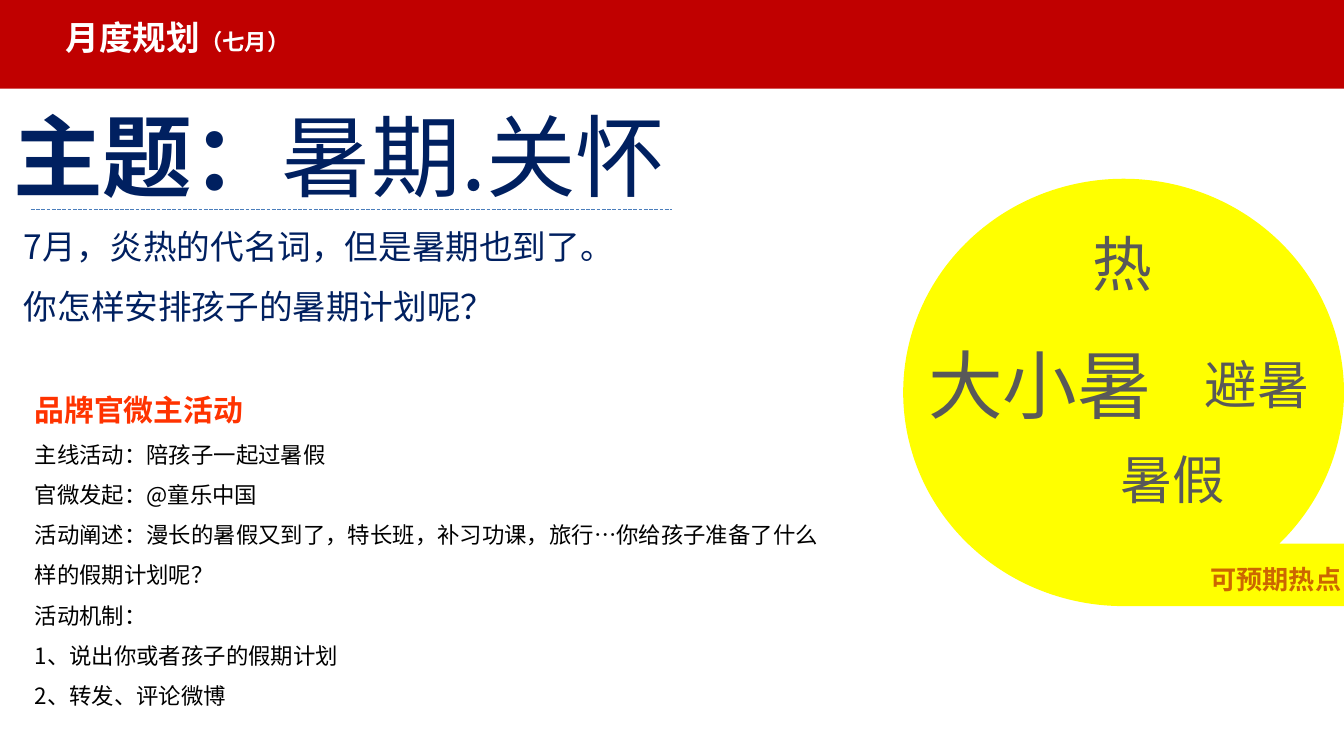
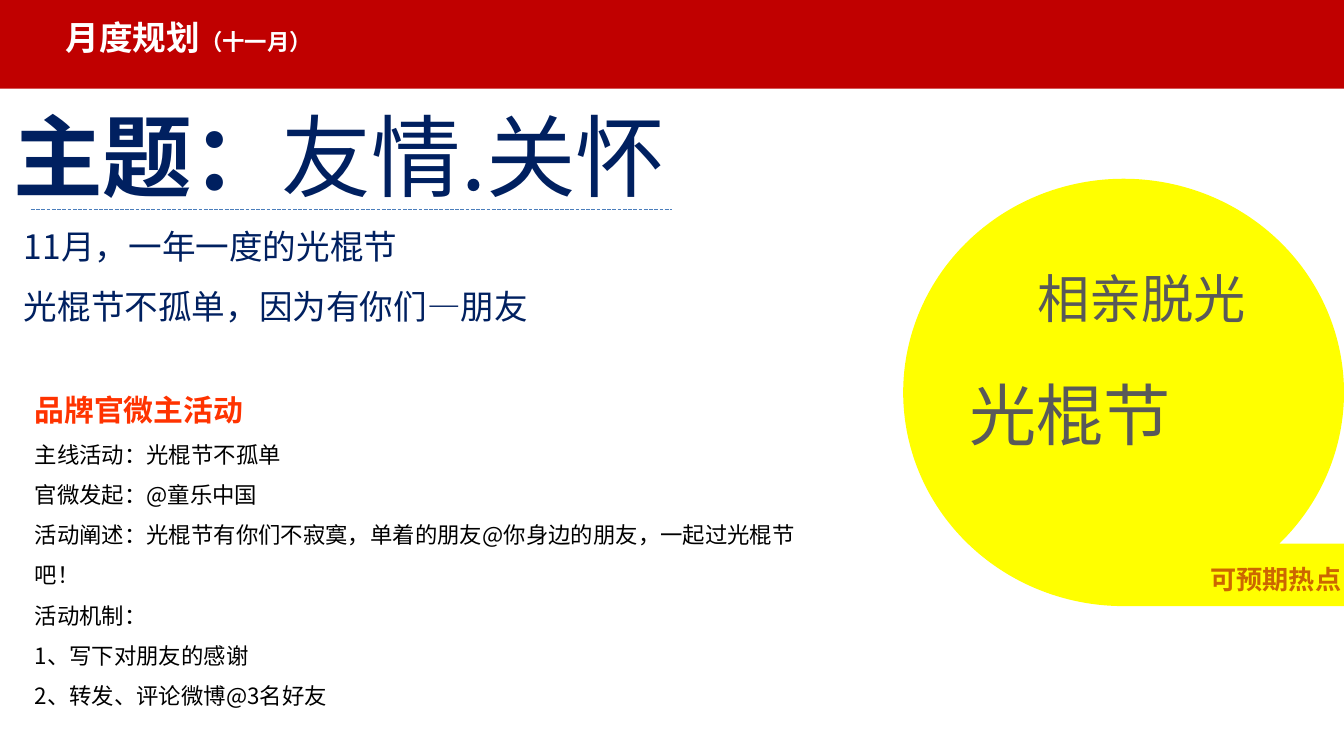
"""Build the July and November monthly planning slides."""
import lxml.etree
import pptx
import pptx.dml.color
import pptx.enum.dml
import pptx.enum.lang
import pptx.enum.shapes
import pptx.enum.text
import pptx.oxml.ns
import pptx.util
from dataclasses import dataclass, field

Inches = pptx.util.Inches
Align = pptx.enum.text.PP_ALIGN
Shape = pptx.enum.shapes.MSO_SHAPE

MONTHS = [
    {
        "month": "（七月）",
        "theme": "暑期.关怀",
        "intro": ["7月，炎热的代名词，但是暑期也到了。", "你怎样安排孩子的暑期计划呢？"],
        "campaign": "陪孩子一起过暑假",
        "story": "漫长的暑假又到了，特长班，补习功课，旅行…你给孩子准备了什么样的假期计划呢？",
        "steps": ["说出你或者孩子的假期计划", "转发、评论微博"],
        "activity_height": 2.62,
        "hot_topics": [
            ("大小暑", 40, (6.43, 2.47, 2.24, 0.77)),
            ("暑假", 28, (6.97, 3.28, 2.24, 0.57)),
            ("热", 32, (6.43, 1.64, 2.24, 0.64)),
            ("避暑", 28, (7.6, 2.57, 2.24, 0.57)),
        ],
    },
    {
        "month": "（十一月）",
        "theme": "友情.关怀",
        "intro": ["11月，一年一度的光棍节", "光棍节不孤单，因为有你们—朋友"],
        "campaign": "光棍节不孤单",
        "story": "光棍节有你们不寂寞，单着的朋友@你身边的朋友，一起过光棍节吧！",
        "steps": ["写下对朋友的感谢", "转发、评论微博@3名好友"],
        "activity_height": 2.32,
        "hot_topics": [
            ("光棍节", 36, (5.78, 2.73, 3.03, 0.71)),
            ("相亲脱光", 28, (7.13, 1.93, 2.24, 0.57)),
        ],
    },
]


@dataclass
class Theme:
    font: str = "Noto Sans CJK SC"
    band: str = "C00000"
    tape: str = "FFFF00"
    rule: str = "4B7EBC"
    topic: str = "595959"
    styles: dict = field(default_factory=lambda: {
        "title": (18, "FFFFFF", True),
        "month": (12, "FFFFFF", True),
        "theme label": (48, "002060", True),
        "theme": (48, "002060", False),
        "intro": (18, "002060", False),
        "heading": (16, "FF3300", True),
        "body": (12, "000000", False),
        "hot label": (14, "CC6600", True),
    })


THEME = Theme()


def rgb(value):
    return pptx.dml.color.RGBColor.from_string(value)


def add_run(paragraph, words, style):
    size, colour, bold = style
    run = paragraph.add_run()
    run.text = words
    formats = {
        "name": THEME.font,
        "size": pptx.util.Pt(size),
        "bold": bold,
        "language_id": pptx.enum.lang.MSO_LANGUAGE_ID.SIMPLIFIED_CHINESE,
    }
    for attribute, value in formats.items():
        setattr(run.font, attribute, value)
    run.font.color.rgb = rgb(colour)
    east_asian = lxml.etree.SubElement(run.font._element, pptx.oxml.ns.qn("a:ea"))
    east_asian.set("typeface", THEME.font)


def add_words(slide, place, lines, **paragraph_formats):
    frame = slide.shapes.add_textbox(*map(Inches, place)).text_frame
    frame.word_wrap = True
    frame.auto_size = pptx.enum.text.MSO_AUTO_SIZE.SHAPE_TO_FIT_TEXT
    for index, line in enumerate(lines):
        paragraph = frame.add_paragraph() if index else frame.paragraphs[0]
        paragraph._p.get_or_add_pPr().set("hangingPunct", "0")
        for attribute, value in paragraph_formats.items():
            setattr(paragraph, attribute, value)
        for words, style in line:
            add_run(paragraph, words, style)


def add_block(slide, kind, place, colour):
    block = slide.shapes.add_shape(kind, *map(Inches, place))
    block.shadow.inherit = False
    block.fill.solid()
    block.fill.fore_color.rgb = rgb(colour)
    block.line.fill.background()


def add_rule(slide, left, right, top):
    rule = slide.shapes.add_connector(
        pptx.enum.shapes.MSO_CONNECTOR.STRAIGHT, *map(Inches, (left, top, right, top)))
    rule.line.color.rgb = rgb(THEME.rule)
    rule.line.width = pptx.util.Pt(0.25)
    rule.line.dash_style = pptx.enum.dml.MSO_LINE.LONG_DASH
    lxml.etree.SubElement(rule._element.spPr, pptx.oxml.ns.qn("a:effectLst"))


def activity_lines(plan):
    details = [
        "主线活动：" + plan["campaign"],
        "官微发起：@童乐中国",
        "活动阐述：" + plan["story"],
        "活动机制：",
        *(f"{number}、{step}" for number, step in enumerate(plan["steps"], 1)),
    ]
    heading = [("品牌官微主活动", THEME.styles["heading"])]
    return [heading] + [[(detail, THEME.styles["body"])] for detail in details]


def add_month(deck, plan):
    slide = deck.slides.add_slide(deck.slide_layouts[6])
    styles = THEME.styles
    add_block(slide, Shape.RECTANGLE, (0, -0.02, 10, 0.68), THEME.band)
    add_words(slide, (0.39, 0.08, 2.27, 0.4),
              [[("月度规划", styles["title"]), (plan["month"], styles["month"])]])
    add_words(slide, (0, 0.7, 5.67, 0.91),
              [[("主题：", styles["theme label"]), (plan["theme"], styles["theme"])]])
    add_block(slide, Shape.FLOWCHART_SEQUENTIAL_ACCESS_STORAGE,
              (6.72, 1.33, 3.28, 3.18), THEME.tape)
    add_words(slide, (8.24, 4.14, 1.84, 0.34),
              [[("可预期热点", styles["hot label"])]], alignment=Align.RIGHT)
    add_words(slide, (0.08, 1.48, 6.33, 1.01),
              [[(sentence, styles["intro"])] for sentence in plan["intro"]],
              line_spacing=1.5)
    add_rule(slide, 0.23, 5, 1.56)
    add_words(slide, (0.16, 2.73, 6.17, plan["activity_height"]),
              activity_lines(plan), line_spacing=1.5)
    for topic, size, place in plan["hot_topics"]:
        add_words(slide, place, [[(topic, (size, THEME.topic, False))]],
                  alignment=Align.RIGHT)


def main():
    deck = pptx.Presentation()
    deck.slide_width = Inches(10)
    deck.slide_height = deck.slide_width * 9 // 16
    for plan in MONTHS:
        add_month(deck, plan)
    deck.save("out.pptx")


if __name__ == "__main__":
    main()
